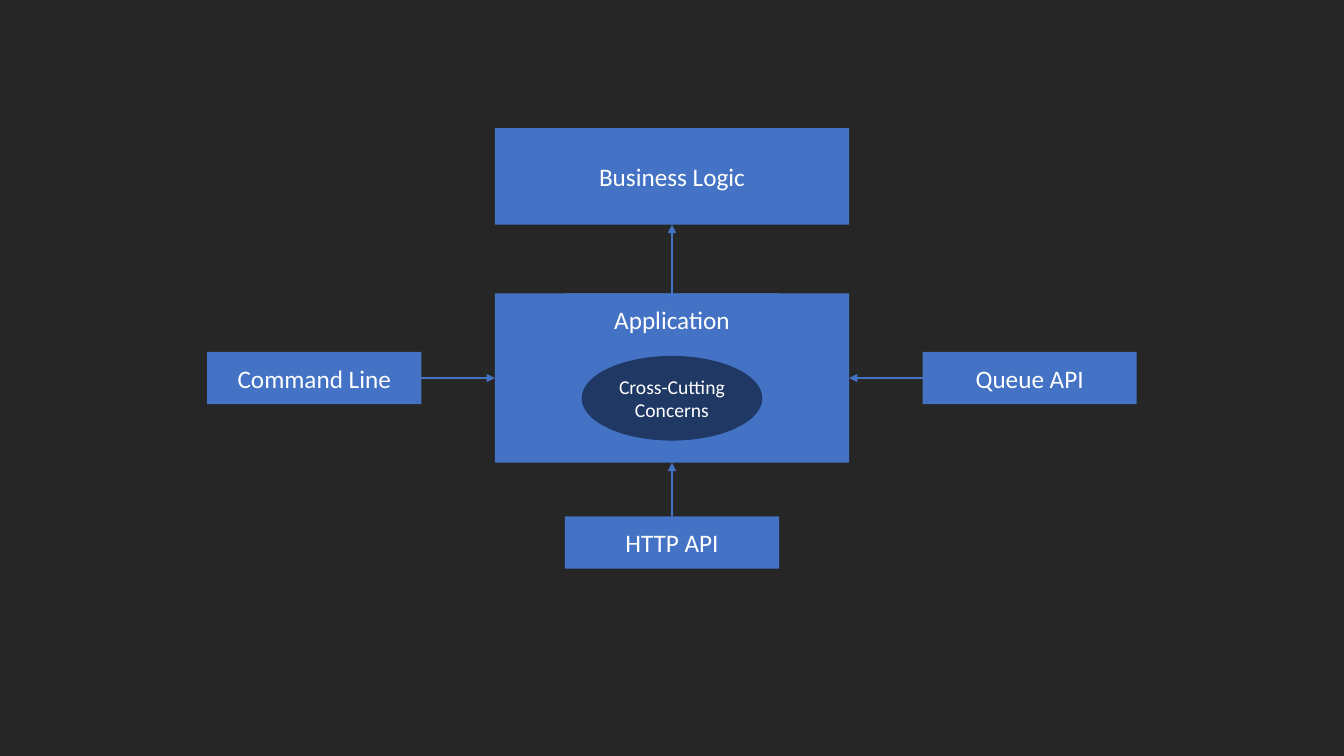
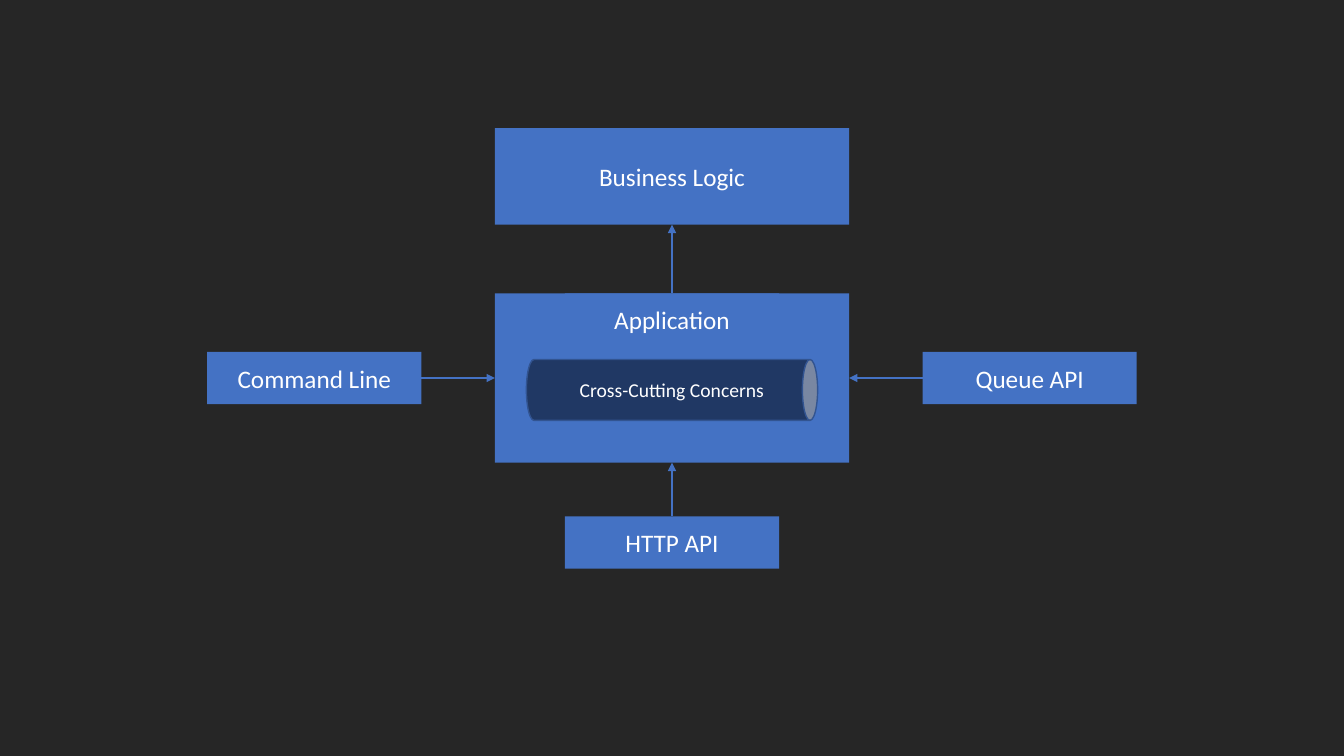
import pptx
import pptx.dml.color
import pptx.enum.shapes
import pptx.enum.text
import pptx.oxml.ns
import pptx.util
from lxml import etree

Pt = pptx.util.Pt
RGBColor = pptx.dml.color.RGBColor
SHAPES = pptx.enum.shapes.MSO_SHAPE

BACKGROUND = RGBColor(0x26, 0x26, 0x26)
BLUE = RGBColor(0x44, 0x72, 0xC4)
NAVY = RGBColor(0x20, 0x38, 0x64)
OUTLINE = RGBColor(0x32, 0x54, 0x91)
WHITE = RGBColor(0xFF, 0xFF, 0xFF)
FONT = "Calibri"

CENTER_X = 480
APPLICATION_TOP = 209.5
APPLICATION_HEIGHT = 121
APPLICATION_MIDDLE = APPLICATION_TOP + APPLICATION_HEIGHT / 2
WIDE = 253
SMALL = (153, 37.5)
SIDE_OFFSET = 255.5
TOP, LEFT, BOTTOM, RIGHT = range(4)


def write_text(shape, text, size=18, wrap=True):
    frame = shape.text_frame
    frame.word_wrap = wrap
    frame.vertical_anchor = pptx.enum.text.MSO_ANCHOR.MIDDLE
    paragraph = frame.paragraphs[0]
    paragraph.text = text
    paragraph.alignment = pptx.enum.text.PP_ALIGN.CENTER
    paragraph.font.name = FONT
    paragraph.font.size = Pt(size)
    paragraph.font.color.rgb = WHITE


def frame_around(center_x, center_y, width, height):
    """Return left, top, width and height of a centred frame."""
    return (Pt(center_x - width / 2), Pt(center_y - height / 2),
            Pt(width), Pt(height))


def add_shape(slide, center_x, center_y, width, height,
              kind=SHAPES.RECTANGLE, fill=BLUE):
    shape = slide.shapes.add_shape(
        kind, *frame_around(center_x, center_y, width, height))
    shape.shadow.inherit = False
    shape.fill.solid()
    shape.fill.fore_color.rgb = fill
    shape.line.fill.background()
    return shape


def add_box(slide, text, center_x, center_y, size=SMALL):
    box = add_shape(slide, center_x, center_y, *size)
    write_text(box, text)
    return box


def add_arrow(slide, source, source_side, target, target_side):
    arrow = slide.shapes.add_connector(
        pptx.enum.shapes.MSO_CONNECTOR.STRAIGHT, 0, 0, 0, 0)
    arrow.begin_connect(source, source_side)
    arrow.end_connect(target, target_side)
    arrow.line.color.rgb = BLUE
    arrow.line.width = Pt(1.5)
    line = arrow.line._get_or_add_ln()
    etree.SubElement(line, pptx.oxml.ns.qn("a:tailEnd"), type="triangle")
    etree.SubElement(arrow._element.spPr, pptx.oxml.ns.qn("a:effectLst"))


def add_architecture_slide(presentation):
    """Add a slide with the application, its logic and its entry points."""
    slide = presentation.slides.add_slide(presentation.slide_layouts[6])
    slide.background.fill.solid()
    slide.background.fill.fore_color.rgb = BACKGROUND

    logic = add_box(slide, "Business Logic", CENTER_X, 126, (WIDE, 69))
    application = add_shape(slide, CENTER_X, APPLICATION_MIDDLE,
                            WIDE, APPLICATION_HEIGHT)
    add_box(slide, "Application", CENTER_X, APPLICATION_TOP + SMALL[1] / 2)
    add_arrow(slide, application, TOP, logic, BOTTOM)

    entry_points = (
        ("HTTP API", CENTER_X, 387.5, TOP, BOTTOM),
        ("Queue API", CENTER_X + SIDE_OFFSET, APPLICATION_MIDDLE, LEFT, RIGHT),
        ("Command Line", CENTER_X - SIDE_OFFSET, APPLICATION_MIDDLE, RIGHT, LEFT),
    )
    for text, center_x, center_y, source_side, target_side in entry_points:
        entry_point = add_box(slide, text, center_x, center_y)
        add_arrow(slide, entry_point, source_side, application, target_side)
    return slide


def add_concerns_ellipse(slide):
    ellipse = add_shape(slide, CENTER_X, 284.5, 129, 60.5, SHAPES.OVAL, NAVY)
    write_text(ellipse, "Cross-Cutting\nConcerns", size=14, wrap=False)


def add_concerns_pipe(slide):
    center_y = 278.5
    pipe = add_shape(slide, CENTER_X, center_y, 43.5, 208, SHAPES.CAN, NAVY)
    pipe.rotation = 90
    pipe.line.color.rgb = OUTLINE
    pipe.line.width = Pt(1)
    label = slide.shapes.add_textbox(*frame_around(CENTER_X, center_y, 196, 24.5))
    write_text(label, "Cross-Cutting Concerns", size=14)


def main():
    presentation = pptx.Presentation()
    presentation.slide_width = Pt(960)
    presentation.slide_height = Pt(540)
    for add_concerns in (add_concerns_ellipse, add_concerns_pipe):
        add_concerns(add_architecture_slide(presentation))
    presentation.save("out.pptx")


if __name__ == "__main__":
    main()
